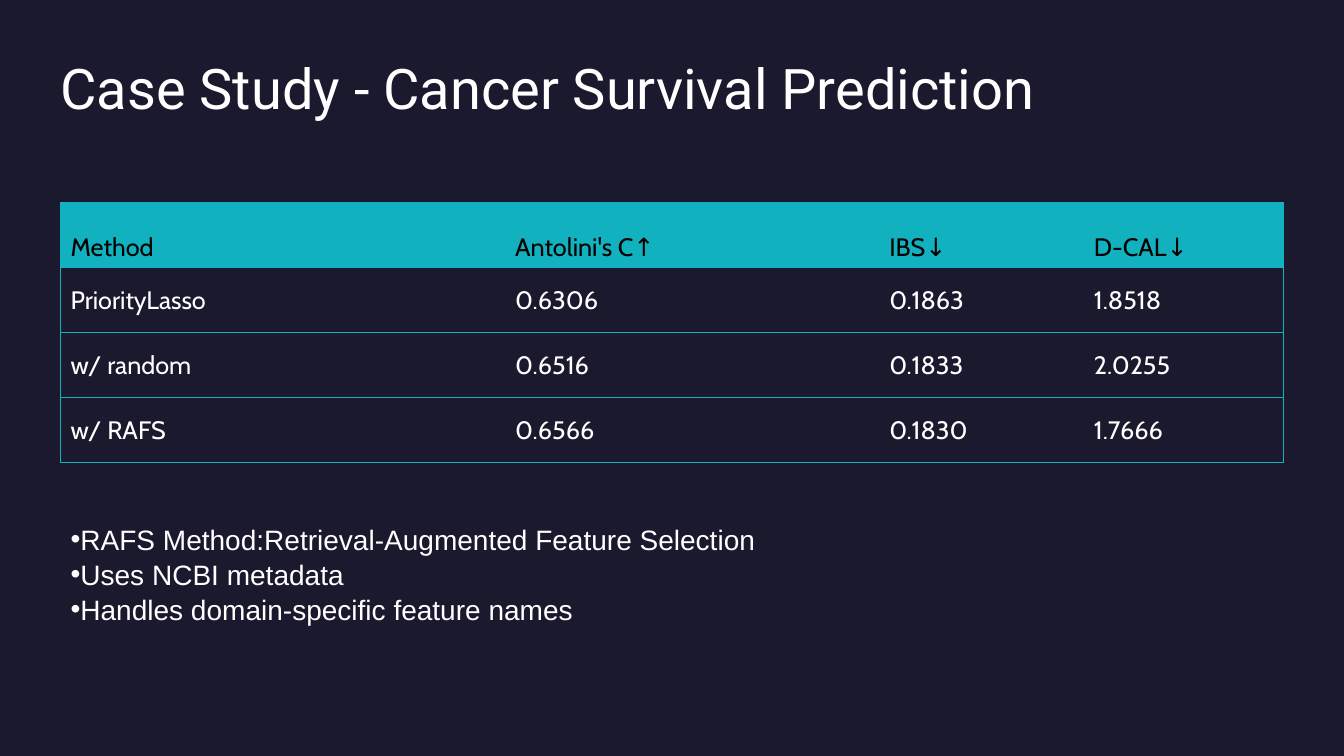
from lxml import etree
from pptx import Presentation
from pptx import util as u
from pptx.dml.color import RGBColor
from pptx.enum import text
from pptx.oxml import ns

COLORS = {"background": "1B192E", "accent": "12B1BF", "light": "FFFFFF", "dark": "000000"}
WIDTH, HEIGHT = u.Inches(13.33), u.Inches(7.5)
LEFT, CONTENT_WIDTH = 0.045 * WIDTH, 0.91 * WIDTH
ROW_HEIGHT = u.Inches(0.645)
COLUMNS = [4.41, 3.71, 2.03, 1.98]
RESULTS = [
    ["Method", "Antolini's C↑", "IBS↓", "D-CAL↓"],
    ["PriorityLasso", "0.6306", "0.1863", "1.8518"],
    ["w/ random", "0.6516", "0.1833", "2.0255"],
    ["w/ RAFS", "0.6566", "0.1830", "1.7666"],
]
NOTES = [
    "RAFS Method:Retrieval-Augmented Feature Selection",
    "Uses NCBI metadata",
    "Handles domain-specific feature names",
]


def write(p, words, font, size, color):
    """Add one formatted run to a left-aligned paragraph."""
    p.alignment = text.PP_ALIGN.LEFT
    r = p.add_run()
    r.text = words
    for name, value in {"name": font, "size": u.Pt(size), "bold": False}.items():
        setattr(r.font, name, value)
    r.font.color.rgb = RGBColor.from_string(COLORS[color])


def add_border(cell, side, visible):
    ln = etree.SubElement(cell._tc.get_or_add_tcPr(), ns.qn(f"a:ln{side}"), w=str(u.Pt(0.5)))
    if visible:
        fill = etree.SubElement(ln, ns.qn("a:solidFill"))
        etree.SubElement(fill, ns.qn("a:srgbClr"), val=COLORS["accent"])
    else:
        etree.SubElement(ln, ns.qn("a:noFill"))


prs = Presentation()
prs.slide_width, prs.slide_height = WIDTH, HEIGHT
s = prs.slides.add_slide(prs.slide_layouts[1])
s.background.fill.solid()
s.background.fill.fore_color.rgb = RGBColor.from_string(COLORS["background"])

# Title and notes
title, notes = s.placeholders
boxes = [
    (title, (LEFT, u.Inches(0.61), CONTENT_WIDTH, u.Inches(1.3))),
    (notes, (LEFT, u.Inches(5.12), u.Inches(8.55), u.Inches(1.41))),
]
frame_format = {
    "word_wrap": True,
    "auto_size": text.MSO_AUTO_SIZE.NONE,
    "vertical_anchor": text.MSO_ANCHOR.TOP,
}
for sp, box in boxes:
    for name, value in zip(("left", "top", "width", "height"), box):
        setattr(sp, name, int(value))
    for name, value in frame_format.items():
        setattr(sp.text_frame, name, value)

tf = title.text_frame
for margin in ("margin_left", "margin_top", "margin_right", "margin_bottom"):
    setattr(tf, margin, 0)
tf.paragraphs[0].line_spacing = 0.9
write(tf.paragraphs[0], "Case Study - Cancer Survival Prediction", "Roboto", 40, "light")

tf = notes.text_frame
for i, note in enumerate(NOTES):
    p = tf.add_paragraph() if i else tf.paragraphs[0]
    write(p, note, "Arial", 20, "light")
    p.space_before = u.Pt(0)
    p.line_spacing = 1.04
    pPr = p._p.get_or_add_pPr()
    pPr.set("marL", "0")
    pPr.set("indent", "0")
    etree.SubElement(pPr, ns.qn("a:buFont"), typeface="Arial")
    etree.SubElement(pPr, ns.qn("a:buChar"), char="•")

# Results table
rows, cols = len(RESULTS), len(COLUMNS)
table = s.shapes.add_table(
    rows, cols, int(LEFT), u.Inches(2.01), int(CONTENT_WIDTH), ROW_HEIGHT * rows
).table
table.first_row = table.horz_banding = False
for column, width in zip(table.columns, COLUMNS):
    column.width = u.Inches(width)

for i, values in enumerate(RESULTS):
    table.rows[i].height = ROW_HEIGHT
    header = i == 0
    for j, value in enumerate(values):
        cell = table.cell(i, j)
        edges = {"L": j == 0, "R": j == cols - 1, "T": True, "B": True}
        for side, visible in edges.items():
            add_border(cell, side, visible)
        if header:
            cell.fill.solid()
            cell.fill.fore_color.rgb = RGBColor.from_string(COLORS["accent"])
        else:
            cell.fill.background()
        cell.vertical_anchor = text.MSO_ANCHOR.BOTTOM if header else text.MSO_ANCHOR.MIDDLE
        write(cell.text_frame.paragraphs[0], value, "Cabin", 18, "dark" if header else "light")

prs.save("out.pptx")
